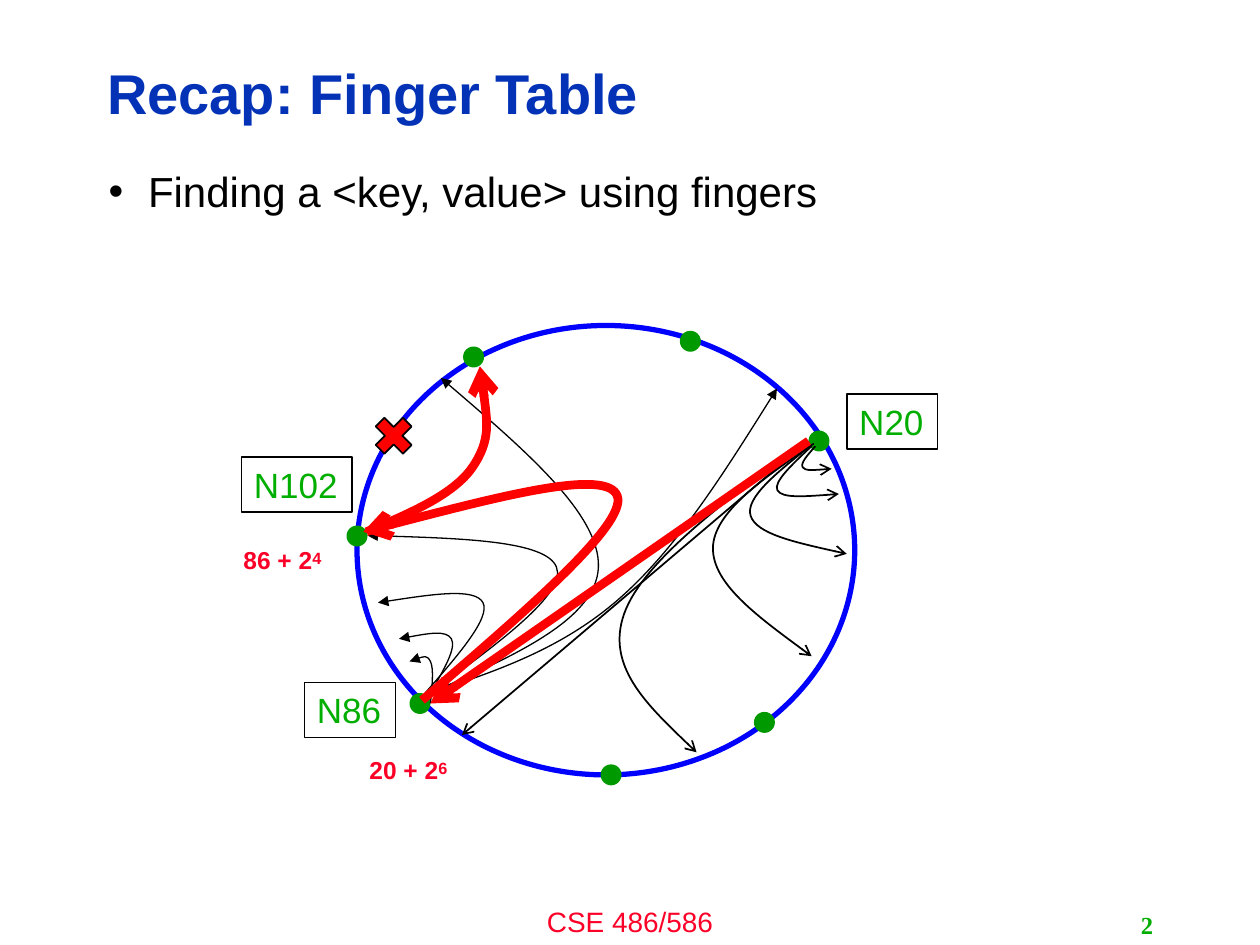
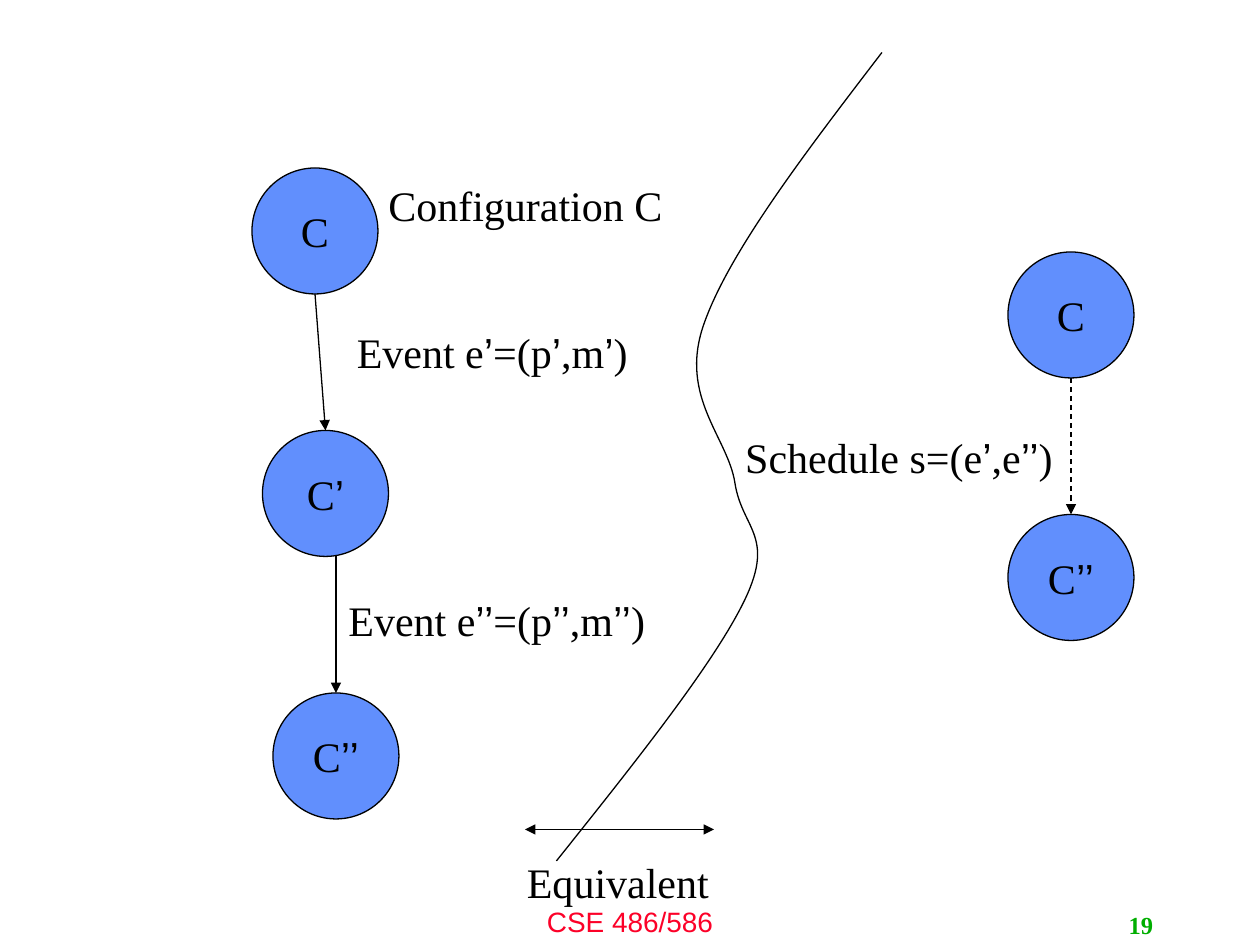
"""Build two lecture slides: a finger table ring and a schedule of events."""
from itertools import groupby

from lxml import etree
from pptx import Presentation
from pptx.dml.color import RGBColor
from pptx.enum.dml import MSO_LINE
from pptx.enum.shapes import MSO_CONNECTOR, MSO_SHAPE
from pptx.enum.text import MSO_ANCHOR, PP_ALIGN
from pptx.oxml.ns import qn
from pptx.util import Inches, Pt

OVAL, BOX, CROSS = MSO_SHAPE.OVAL, MSO_SHAPE.RECTANGLE, MSO_SHAPE.MATH_MULTIPLY
LEFT, MID, RIGHT = PP_ALIGN.LEFT, PP_ALIGN.CENTER, PP_ALIGN.RIGHT
TOP, HALF = MSO_ANCHOR.TOP, MSO_ANCHOR.MIDDLE
STRAIGHT, DASH = MSO_CONNECTOR.STRAIGHT, MSO_LINE.DASH
SANS, SERIF = "Arial", "Times New Roman"
BLACK, BLUE, NAVY, SKY = "000000", "0000FF", "0332B7", "618FFD"
RED, ROSE, GREEN, LEAF = "FF0000", "FC0128", "009900", "00AE00"
CELL = Inches(1) // 12
COLS, ROWS = 120, 90
hue = RGBColor.from_string


def put(slide, kind, box, fill=None, line=None, width=0.75, text="", size=24,
        color=BLACK, font=SERIF, bold=False, align=None, anchor=TOP):
    """Place a shape, text box or title on the grid, then paint and letter it."""
    spot = [round(v * CELL) for v in box]
    if kind == "title":
        shape = slide.shapes.title
        shape.left, shape.top, shape.width, shape.height = spot
    elif kind == "text":
        shape = slide.shapes.add_textbox(*spot)
    else:
        shape = slide.shapes.add_shape(kind, *spot)
    shape.shadow.inherit = False
    if fill:
        shape.fill.solid()
        shape.fill.fore_color.rgb = hue(fill)
    else:
        shape.fill.background()
    if line:
        shape.line.color.rgb = hue(line)
        shape.line.width = Pt(width)
    else:
        shape.line.fill.background()
    if not text:
        return shape
    frame = shape.text_frame
    frame.word_wrap = align is not None
    frame.vertical_anchor = anchor
    para = frame.paragraphs[0]
    para.alignment = align or LEFT
    base, _, power = text.partition("^")
    for quote, chars in groupby(base, lambda c: c == "’"):
        run = para.add_run()
        run.text = "".join(chars)
        run.font.name = SANS if quote else font
    if power:
        run = para.add_run()
        run.text = power
        run.font.name = font
    for run in para.runs:
        run.font.size = Pt(size)
        run.font.bold = bold
        run.font.color.rgb = hue(color)
    if power:
        run.font.size = Pt(size + 2)
        run.font._element.set("baseline", "20000")
    return shape


def draw(slide, knots, color=BLACK, width=0.75, tail=None, head=None, dash=None):
    """Draw a line through two knots, or a smooth curve through more."""
    pts = [complex(*knot) * CELL for knot in knots]
    last = len(pts) - 1
    if last == 1:
        ends = [round(v) for p in pts for v in (p.real, p.imag)]
        shape = slide.shapes.add_connector(STRAIGHT, *ends)
    else:
        trail = []
        for i in range(last):
            p, q = pts[i], pts[i + 1]
            out = p + (q - pts[i - 1]) / 6 if i else None
            back = q - (pts[i + 2] - p) / 6 if i + 1 < last else (out + q) / 2
            if out is None:
                out = (p + back) / 2
            trail += [(dot.real, dot.imag) for dot in (out, back, q)]
        pen = slide.shapes.build_freeform(pts[0].real, pts[0].imag)
        pen.add_line_segments(trail, close=False)
        shape = pen.convert_to_shape()
        shape.fill.background()
        steps = list(shape._element.iter(qn("a:lnTo")))
        for trio in zip(steps[::3], steps[1::3], steps[2::3]):
            bend = etree.SubElement(trio[0].getparent(), qn("a:cubicBezTo"))
            for step in trio:
                bend.append(step[0])
                step.getparent().remove(step)
    shape.line.color.rgb = hue(color)
    shape.line.width = Pt(width)
    if dash:
        shape.line.dash_style = dash
    props = shape._element.spPr
    for tag, tip in (("a:headEnd", head), ("a:tailEnd", tail)):
        if tip:
            etree.SubElement(props.find(qn("a:ln")), qn(tag), type=tip)
    etree.SubElement(props, qn("a:effectLst"))


deck = Presentation()
deck.slide_width, deck.slide_height = COLS * CELL, ROWS * CELL
ring = deck.slides.add_slide(deck.slide_layouts[5])
plan = deck.slides.add_slide(deck.slide_layouts[6])

for slide, page in ((ring, "2"), (plan, "19")):
    put(slide, "text", (40, 85.6, 40, 4.4), text="CSE 486/586", size=16,
        color=ROSE, font=SANS, align=MID)
    put(slide, "text", (86, 86.2, 25, 3.8), text=page, size=14, color=LEAF,
        bold=True, align=RIGHT, anchor=HALF)

title = put(ring, "title", (9, 4.3, 95.8, 9.7), text="Recap: Finger Table", size=32,
            color=NAVY, font=SANS, bold=True, align=LEFT, anchor=HALF)
body = put(ring, "text", (9.17, 15.7, 100.8, 64.7), font=SANS, align=LEFT,
           text="Finding a <key, value> using fingers")
for shape in (title, body):
    shape.text_frame.paragraphs[0].line_spacing = 0.9
props = body.text_frame.paragraphs[0]._p.get_or_add_pPr()
props.set("marL", str(Pt(22.5)))
props.set("indent", str(-Pt(22.5)))
etree.SubElement(props, qn("a:buFont"), typeface=SANS)
etree.SubElement(props, qn("a:buChar"), char="•")

put(ring, OVAL, (34, 31, 47.4, 42.8), line=BLUE, width=3)
nodes = [(77, 41), (33, 50.05), (71.8, 67.8), (44.1, 33), (39, 66), (57.2, 72.8),
         (64.75, 31.5)]
for x, y in nodes:
    put(ring, OVAL, (x, y, 2, 2), fill=GREEN)

near = [
    [(41, 67), (41, 63), (39, 63)],
    [(41, 66), (43, 60.85), (38, 60.85)],
    [(40.5, 66), (46, 57.4), (36, 57.4)],
    [(41, 66), (53, 54), (35, 51)],
    [(41, 66), (57, 54), (42, 36)],
    [(41, 66), (59, 57), (74, 37)],
]
far = [
    [(77, 42), (44, 70)],
    [(77.65, 42.5), (76.45, 44.5), (79.2, 44.65)],
    [(77.3, 42.5), (74.05, 46.7), (79.9, 47.05)],
    [(77.15, 42.5), (71.5, 49.15), (80.65, 52.75)],
    [(77.5, 42.25), (67.9, 52.2), (77.3, 62.5)],
    [(76.9, 41.9), (59.45, 58.45), (66.35, 71.65)],
]
route = [
    [(77, 42), (41, 67)],
    [(40.2, 66.7), (58.8, 47.25), (34.6, 50.65)],
    [(34.9, 50.65), (45, 44.5), (45.7, 34.9)],
]
for knots in near:
    draw(ring, knots, tail="triangle")
for x, y, wide, width, text in ((29, 65, 8.65, 0.75, "N86"), (23, 43.55, 10.55, 1, "N102"),
                                (80.65, 37.55, 8.65, 1, "N20")):
    put(ring, BOX, (x, y, wide, 5.25), line=BLACK, width=width, text=text, size=20,
        color=LEAF, font=SANS)
for x, y, text in ((22, 51, "86 + 2^4"), (34, 71, "20 + 2^6")):
    put(ring, "text", (x, y, 10, 4), text=text, size=14, color=ROSE, font=SANS,
        bold=True)
put(ring, CROSS, (35, 39, 5, 5), fill=RED, line=BLACK, width=1)
for knots in far:
    draw(ring, knots, width=1, tail="arrow")
for knots in route:
    draw(ring, knots, RED, 5, tail="arrow")

states = [(24, 16, "C"), (25, 41, "C’"), (26, 66, "C’’"), (96, 24, "C"),
          (96, 49, "C’’")]
for x, y, text in states:
    put(plan, OVAL, (x, y, 12, 12), fill=SKY, line=BLACK, text=text, align=MID,
        anchor=HALF)
notes = [
    (32.8, 30.55, 29.5, "Event e’=(p’,m’)"),
    (32, 56, 33.5, "Event e’’=(p’’,m’’)"),
    (35.8, 16.55, 28.6, "Configuration C"),
    (69.8, 40.55, 33.1, "Schedule s=(e’,e’’)"),
    (49, 81, 19.7, "Equivalent"),
]
for x, y, wide, text in notes:
    put(plan, "text", (x, y, wide, 6), text=text)
draw(plan, [(30, 28), (31, 41)], tail="triangle")
draw(plan, [(32, 53), (32, 66)], tail="triangle")
draw(plan, [(102, 36), (102, 49)], tail="triangle", dash=DASH)
draw(plan, [(84, 5), (67, 31), (70, 46), (71, 57), (53, 82)])
draw(plan, [(50, 79), (68, 79)], head="triangle", tail="triangle")

deck.save("out.pptx")
